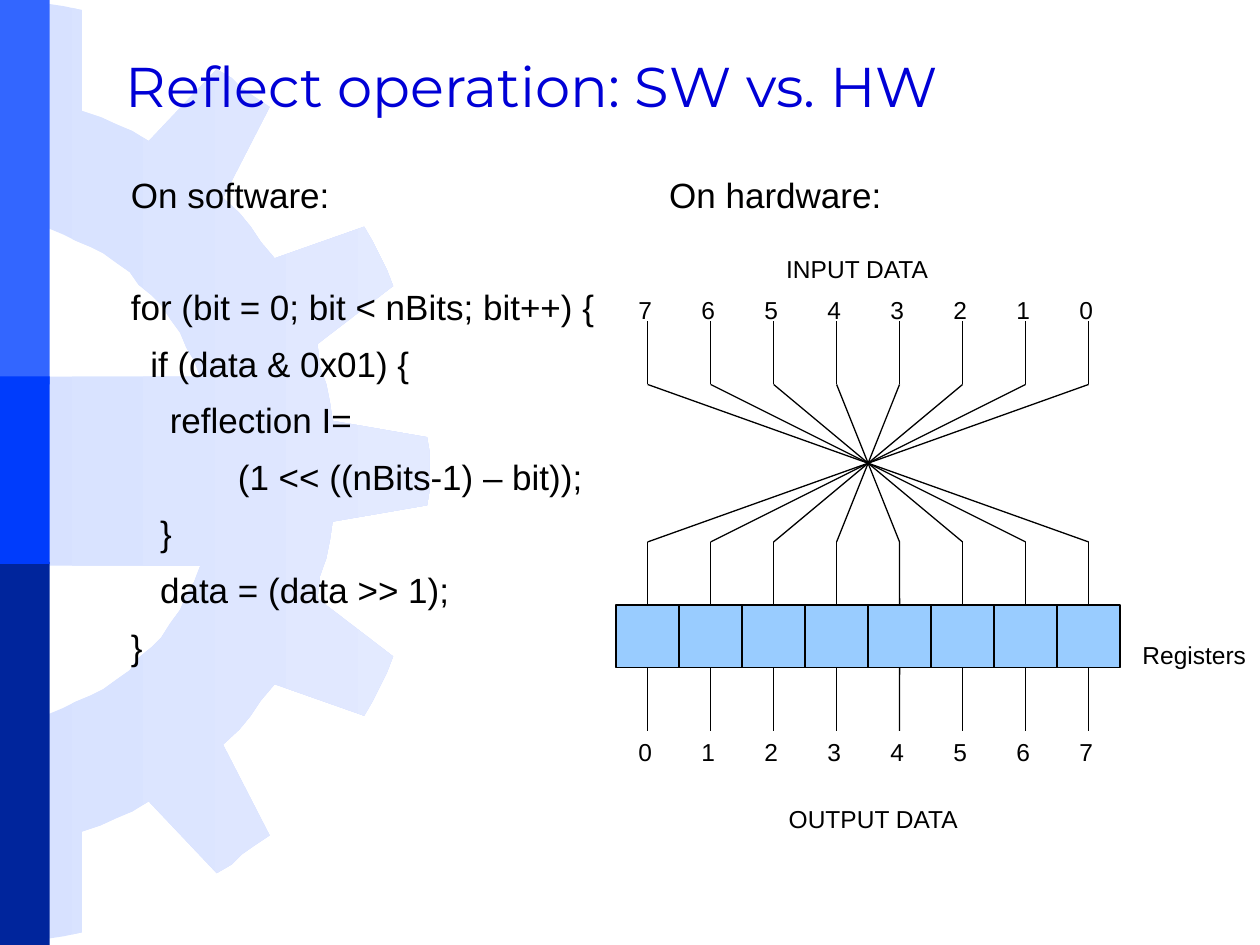
from pptx import Presentation
from pptx.dml.color import RGBColor
from pptx.enum.shapes import MSO_CONNECTOR, MSO_SHAPE
from pptx.enum.text import MSO_ANCHOR
from pptx.oxml.ns import qn
from pptx.util import Cm, Pt
from lxml import etree

RECT = MSO_SHAPE.RECTANGLE
STRAIGHT = MSO_CONNECTOR.STRAIGHT
MIDDLE = MSO_ANCHOR.MIDDLE
COLORS = {
    "gear_left": "D7E1FF",
    "gear_right": "E3EAFF",
    "bar_top": "3366FF",
    "bar_middle": "003CFC",
    "bar_bottom": "00259C",
    "title": "0000D6",
    "register": "99CCFF",
    "black": "000000",
}
RGB = {name: RGBColor.from_string(value) for name, value in COLORS.items()}

prs = Presentation()
prs.slide_width, prs.slide_height = Cm(25.4), Cm(19.05)
slide = prs.slides.add_slide(prs.slide_layouts[6])
shapes = slide.shapes


def add_text(lines, x, y, w, h, size, font="Arial", color="black", wrap=True, tabs=()):
    sp = shapes.add_textbox(Cm(x), Cm(y), Cm(w), Cm(h))
    tf = sp.text_frame
    tf.word_wrap = wrap
    tf.text = "\n".join(lines)
    for p in tf.paragraphs:
        for r in p.runs:
            r.font.size = Pt(size)
            r.font.name = font
            r.font.color.rgb = RGB[color]
    if tabs:
        tab_list = etree.SubElement(tf.paragraphs[0]._p.get_or_add_pPr(), qn("a:tabLst"))
        for pos in tabs:
            etree.SubElement(tab_list, qn("a:tab"), pos=str(Cm(pos)), algn="l")
    return tf


def add_wire(x1, y1, x2, y2):
    cn = shapes.add_connector(STRAIGHT, Cm(x1), Cm(y1), Cm(x2), Cm(y2))
    cn.line.color.rgb = RGB["black"]
    cn.line.width = Pt(0.75)
    etree.SubElement(cn._element.spPr, qn("a:effectLst"))
    return cn


GEAR_HEIGHT = 748
gear_half = [
    (0, 299), (159, 299), (154, 286), (148, 276), (143, 264), (135, 253), (128, 242),
    (120, 234), (110, 226), (103, 216), (93, 209), (82, 201), (72, 196), (60, 191),
    (50, 186), (38, 181), (26, 180), (13, 176), (13, 0), (27, 1), (38, 3), (51, 5),
    (65, 8), (65, 88), (80, 93), (93, 99), (105, 104), (118, 112), (172, 55), (184, 62),
    (192, 70), (202, 77), (214, 85), (177, 157), (190, 169), (199, 180), (207, 192),
    (218, 205), (289, 180), (296, 192), (302, 204), (307, 214), (312, 227), (252, 273),
    (254, 291), (259, 305), (262, 320), (264, 334), (339, 347), (341, 359), (341, 373),
]
gear = gear_half + [(x, GEAR_HEIGHT - y) for x, y in reversed(gear_half)]
builder = shapes.build_freeform(*gear[0], scale=Cm(0.0254))
builder.add_line_segments(gear[1:], close=True)
sp = builder.convert_to_shape()
sp.shadow.inherit = False
sp.line.fill.background()
sp.fill.gradient()
sp.fill.gradient_angle = 0
for stop, name in zip(sp.fill.gradient_stops, ("gear_left", "gear_right")):
    stop.color.rgb = RGB[name]

for name, y, h in (("bar_top", 0, 7.75), ("bar_bottom", 11.33, 7.72), ("bar_middle", 7.59, 3.78)):
    sp = shapes.add_shape(RECT, 0, Cm(y), Cm(1), Cm(h))
    sp.shadow.inherit = False
    sp.fill.solid()
    sp.fill.fore_color.rgb = RGB[name]
    sp.line.fill.background()

tf = add_text(["Reflect operation: SW vs. HW"], 2.29, 0.51, 22, 2.41, 32, "Montserrat", "title")
tf.vertical_anchor = MIDDLE

SPACE = 0.196
code = [
    ("for (bit = 0; bit < nBits; bit++) {", 0),
    ("if (data & 0x01) {", 2),
    ("reflection I=", 4),
    ("(1 << ((nBits-1) – bit));", 11),
    ("}", 3),
    ("data = (data >> 1);", 3),
    ("}", 0),
]
lines = ["On software:\tOn hardware:"] + [line for line, _ in code]
tf = add_text(lines, 2.39, 3.38, 22, 14.25, 20, tabs=[10.85])
for p, (_, indent) in zip(tf.paragraphs[1:], code):
    p.space_before = Pt(8.3)
    p._p.get_or_add_pPr().set("marL", str(Cm(indent * SPACE)))
tf.paragraphs[1].space_before = Pt(39.9)

BITS = 8
PITCH = 1.27
LEFT = 12.42
INPUT_TOP = 6.48
CROSS_TOP = INPUT_TOP + PITCH
CROSS_BOTTOM = CROSS_TOP + 2.5 * PITCH
REGISTER_TOP = CROSS_BOTTOM + PITCH
REGISTER_BOTTOM = REGISTER_TOP + PITCH
centers = [LEFT + (i + 0.5) * PITCH for i in range(BITS)]

for i, x in enumerate(centers):
    sp = shapes.add_shape(RECT, Cm(LEFT + i * PITCH), Cm(REGISTER_TOP), Cm(PITCH), Cm(PITCH))
    sp.shadow.inherit = False
    sp.fill.solid()
    sp.fill.fore_color.rgb = RGB["register"]
    sp.line.color.rgb = RGB["black"]
    sp.line.width = Pt(0.75)
    add_wire(x, INPUT_TOP, x, CROSS_TOP)
    add_wire(x, CROSS_TOP, centers[-1 - i], CROSS_BOTTOM)
    add_wire(x, CROSS_BOTTOM, x, REGISTER_TOP).end_connect(sp, 0)
    add_wire(x, REGISTER_BOTTOM, x, REGISTER_BOTTOM + PITCH).begin_connect(sp, 2)

bit_tabs = [i * PITCH for i in range(1, BITS)]
for bits, y in (("76543210", 5.82), ("01234567", 14.73)):
    add_text(["\t".join(bits)], 12.62, y, 9.83, 0.84, 14, tabs=bit_tabs)

for label, x, y, w in (
    ("INPUT DATA", 15.6, 5, 3.45),
    ("OUTPUT DATA", 15.65, 16.08, 4.01),
    ("Registers", 22.78, 12.78, 2.62),
):
    add_text([label], x, y, w, 0.84, 14, wrap=False)

prs.save("out.pptx")
